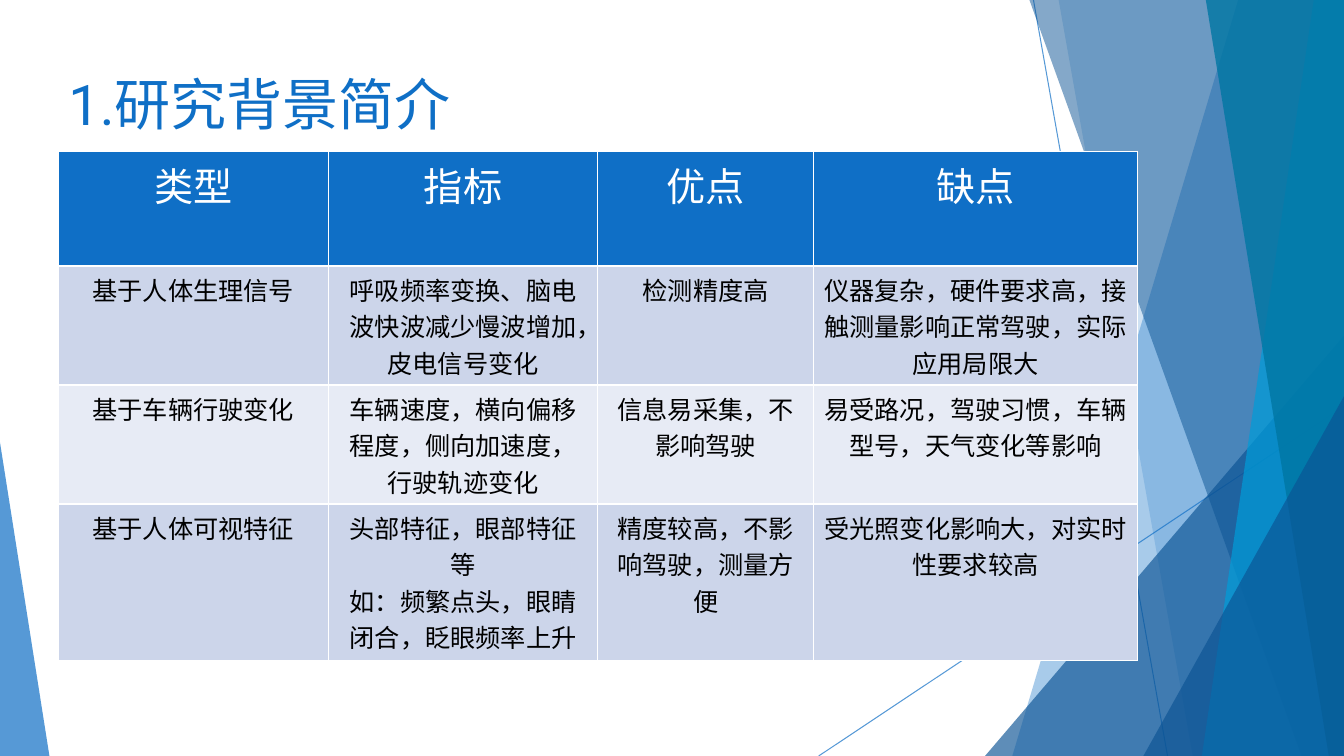
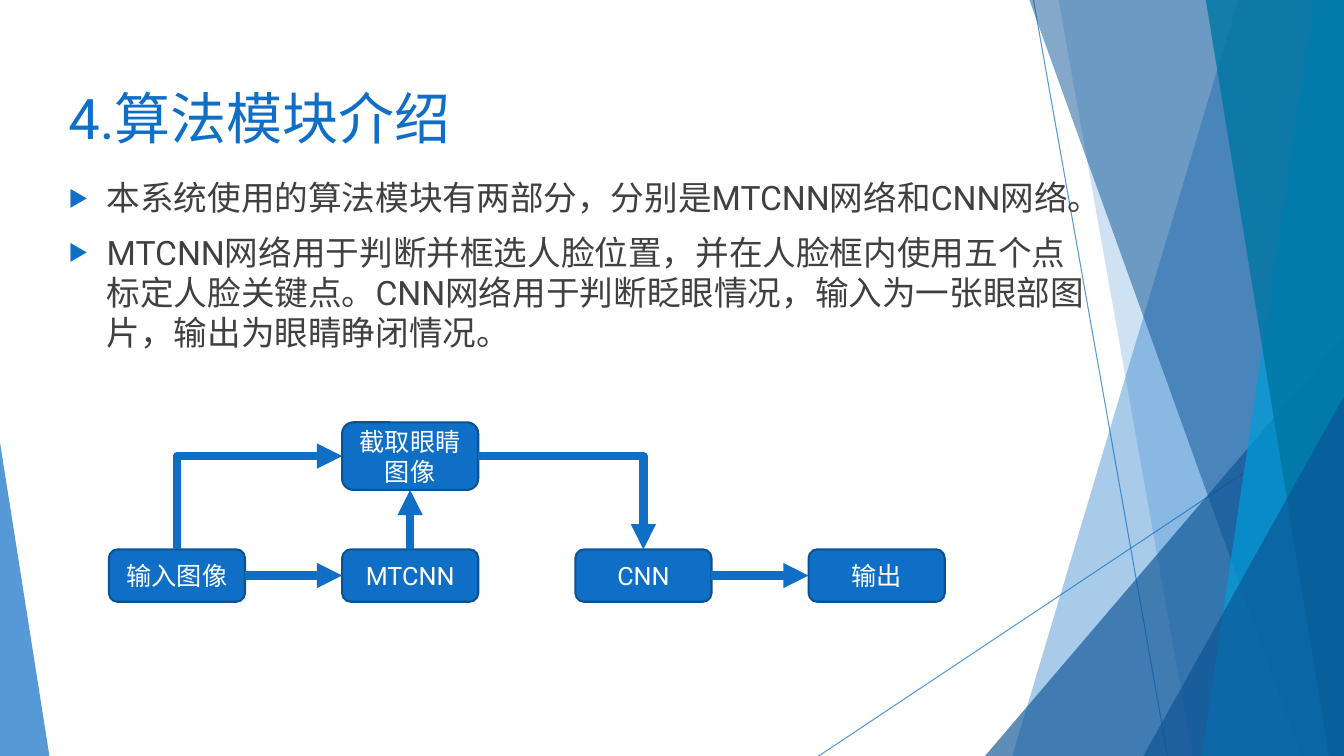
from lxml import etree
from pptx import Presentation
from pptx.dml.color import RGBColor
from pptx.enum.shapes import MSO_CONNECTOR, MSO_SHAPE
from pptx.enum.text import MSO_ANCHOR, PP_ALIGN
from pptx.oxml.ns import qn
from pptx.util import Inches, Pt

STRAIGHT, ELBOW = MSO_CONNECTOR.STRAIGHT, MSO_CONNECTOR.ELBOW
TRIANGLE, ROUNDED = MSO_SHAPE.ISOSCELES_TRIANGLE, MSO_SHAPE.ROUNDED_RECTANGLE
TOP, MIDDLE = MSO_ANCHOR.TOP, MSO_ANCHOR.MIDDLE
LEFT, CENTER = PP_ALIGN.LEFT, PP_ALIGN.CENTER
SITE_TOP, SITE_LEFT, SITE_BOTTOM, SITE_RIGHT = range(4)

W, H = 13.33, 7.5
MARGIN = 0.58
LATIN, CJK = "Roboto", "Noto Sans CJK SC"
C = {
    "blue": "0F6FC6", "navy": "0B5394", "cyan": "009DD9", "teal": "0076A3",
    "edge": "0B5292", "white": "FFFFFF", "black": "000000", "body": "404040",
    "band": "CCD5EA", "pale": "E7EBF5",
}


def rgb(name):
    return RGBColor.from_string(C[name])


def sub(parent, tag, **attrs):
    return etree.SubElement(parent, qn(tag), attrs)


def set_alpha(fill_parent, percent):
    color = next(fill_parent.iter(qn("a:srgbClr")))
    sub(color, "a:alpha", val=str(percent * 1000))


def add_run(p, text, size, color, font=LATIN):
    r = p.add_run()
    r.text = text
    r.font.size = Pt(size)
    r.font.name = font
    r.font.color.rgb = rgb(color)
    sub(r._r.get_or_add_rPr(), "a:ea", typeface=font)


def write(tf, paragraphs, size, color, font=LATIN, align=LEFT):
    tf.word_wrap = True
    for i, text in enumerate(paragraphs):
        p = tf.paragraphs[0] if i == 0 else tf.add_paragraph()
        p.alignment = align
        add_run(p, text, size, color, font)


def paint(sp, color, alpha=100):
    sp.shadow.inherit = False
    sp.fill.solid()
    sp.fill.fore_color.rgb = rgb(color)
    sp.line.fill.background()
    set_alpha(sp._element.spPr.find(qn("a:solidFill")), alpha)


def add_line(s, kind, start, end, width):
    c = s.shapes.add_connector(kind, *(Inches(v) for v in (*start, *end)))
    c.line.color.rgb = rgb("blue")
    c.line.width = Pt(width)
    sub(c._element.spPr, "a:effectLst")
    return c


def add_ray(s, start, end):
    c = add_line(s, STRAIGHT, start, end, 0.75)
    set_alpha(c.line._ln, 70)


def add_band(s, top_x, bottom_x, color, alpha):
    points = [(W, 0), (W, H), (bottom_x, H)]
    fb = s.shapes.build_freeform(Inches(top_x), 0)
    fb.add_line_segments([(Inches(x), Inches(y)) for x, y in points], close=True)
    paint(fb.convert_to_shape(), color, alpha)


def add_corner(s, left, top, right, color, alpha, apex):
    sp = s.shapes.add_shape(TRIANGLE, Inches(left), Inches(top),
                            Inches(right - left), Inches(H - top))
    sp.adjustments[0] = apex
    paint(sp, color, alpha)


def add_backdrop(s):
    add_ray(s, (10.25, 0), (11.58, H))
    add_ray(s, (W, 4.03), (8.12, H))
    add_band(s, 12.28, 10.04, "blue", 36)
    add_band(s, 10.5, 11.83, "blue", 20)
    add_corner(s, 9.77, 3.33, W, "navy", 66, 1)
    add_band(s, 10.21, 12.91, "navy", 50)
    add_band(s, 13.03, 11.92, "cyan", 70)
    add_band(s, 11.96, 13.18, "teal", 80)
    add_corner(s, 11.34, 3.93, W, "navy", 66, 1)
    add_corner(s, 0, 4.39, 0.49, "blue", 70, 0)


def add_text(s, box, paragraphs, size, color, anchor=TOP):
    tf = s.shapes.add_textbox(*(Inches(v) for v in box)).text_frame
    write(tf, paragraphs, size, color)
    tf.vertical_anchor = anchor
    return tf


def new_slide(prs, title, box):
    s = prs.slides.add_slide(prs.slide_layouts[6])
    add_backdrop(s)
    add_text(s, box, [title], 40, "blue", MIDDLE)
    return s


def add_borders(cell):
    tcPr = cell._tc.get_or_add_tcPr()
    for i, side in enumerate(("lnL", "lnR", "lnT", "lnB")):
        ln = etree.Element(qn("a:" + side), w=str(Pt(1)))
        sub(sub(ln, "a:solidFill"), "a:srgbClr", val=C["white"])
        tcPr.insert(i, ln)


def add_comparison(s, box, shares, heights, rows):
    left, top, width = box
    table = s.shapes.add_table(len(rows), len(shares), Inches(left), Inches(top),
                               Inches(width), Inches(sum(heights))).table
    for column, share in zip(table.columns, shares):
        column.width = Inches(width * share)
    for i, row in enumerate(rows):
        table.rows[i].height = Inches(heights[i])
        header = i == 0
        fill = "blue" if header else ("pale", "band")[i % 2]
        style = (28, "white", LATIN) if header else (18, "black", CJK)
        for j, text in enumerate(row):
            cell = table.cell(i, j)
            cell.fill.solid()
            cell.fill.fore_color.rgb = rgb(fill)
            cell.margin_top = Inches(0.14 if header else 0.05)
            write(cell.text_frame, text.split("\n"), *style, align=CENTER)
            add_borders(cell)


def add_bullets(s, box, paragraphs):
    tf = add_text(s, box, paragraphs, 24, "body")
    for p in tf.paragraphs:
        p.space_before = Pt(10)
        pPr = p._p.get_or_add_pPr()
        pPr.set("marL", str(Inches(0.38)))
        pPr.set("indent", str(-Inches(0.38)))
        sub(sub(pPr, "a:buClr"), "a:srgbClr", val=C["blue"])
        sub(pPr, "a:buSzPct", val="60000")
        sub(pPr, "a:buFont", typeface=CJK)
        sub(pPr, "a:buChar", char="▶")


def add_node(s, text, left, top, width, height):
    sp = s.shapes.add_shape(ROUNDED, *(Inches(v) for v in (left, top, width, height)))
    paint(sp, "blue")
    sp.line.color.rgb = rgb("edge")
    sp.line.width = Pt(1.5)
    sp.text_frame.vertical_anchor = MIDDLE
    write(sp.text_frame, [text], 18, "white", align=CENTER)
    return sp


def add_arrow(s, source, source_site, target, target_site, kind=STRAIGHT):
    c = add_line(s, kind, (0, 0), (1, 1), 6)
    c.begin_connect(source, source_site)
    c.end_connect(target, target_site)
    sub(c.line._ln, "a:tailEnd", type="triangle")
    if kind == ELBOW:
        c._element.spPr.find(qn("a:prstGeom")).set("prst", "bentConnector2")
        if source_site == SITE_TOP:
            turn_upward(c)


def turn_upward(c):
    width, height = c.width, c.height
    c.left += (width - height) // 2
    c.top += (height - width) // 2
    c.width, c.height = height, width
    xfrm = c._element.spPr.find(qn("a:xfrm"))
    for name, value in (("rot", "5400000"), ("flipH", "1"), ("flipV", "1")):
        xfrm.set(name, value)


def add_flow(s, left, top, width):
    node_w, node_h, crop_h, drop = 1.35, 0.52, 0.67, 1.26
    step = (width - node_w) / 3
    names = ["输入图像", "MTCNN", "CNN", "输出"]
    source, mtcnn, cnn, result = [
        add_node(s, name, left + i * step, top + drop, node_w, node_h)
        for i, name in enumerate(names)]
    crop = add_node(s, "截取眼睛图像", left + step, top, node_w, crop_h)
    add_arrow(s, source, SITE_RIGHT, mtcnn, SITE_LEFT)
    add_arrow(s, cnn, SITE_RIGHT, result, SITE_LEFT)
    add_arrow(s, crop, SITE_RIGHT, cnn, SITE_TOP, ELBOW)
    add_arrow(s, source, SITE_TOP, crop, SITE_LEFT, ELBOW)
    add_arrow(s, mtcnn, SITE_TOP, crop, SITE_BOTTOM)


def background_slide(prs):
    s = new_slide(prs, "1.研究背景简介", (MARGIN, 0.6, 10.7, 0.84))
    shares, heights = (0.25, 0.25, 0.2, 0.3), (1.14, 1.18, 1.18, 1.55)
    add_comparison(s, (MARGIN, 1.5, 10.7), shares, heights, [
        ("类型", "指标", "优点", "缺点"),
        ("基于人体生理信号", "呼吸频率变换、脑电波快波减少慢波增加，皮电信号变化",
         "检测精度高", "仪器复杂，硬件要求高，接触测量影响正常驾驶，实际应用局限大"),
        ("基于车辆行驶变化", "车辆速度，横向偏移程度，侧向加速度，行驶轨迹变化",
         "信息易采集，不影响驾驶", "易受路况，驾驶习惯，车辆型号，天气变化等影响"),
        ("基于人体可视特征", "头部特征，眼部特征等\n如：频繁点头，眼睛闭合，眨眼频率上升",
         "精度较高，不影响驾驶，测量方便", "受光照变化影响大，对实时性要求较高"),
    ])


def modules_slide(prs):
    s = new_slide(prs, "4.算法模块介绍", (MARGIN, 0.76, 9.4, 0.81))
    add_bullets(s, (MARGIN, 1.71, 10.29, 1.96), [
        "本系统使用的算法模块有两部分，分别是MTCNN网络和CNN网络。",
        "MTCNN网络用于判断并框选人脸位置，并在人脸框内使用五个点标定人脸关键点。"
        "CNN网络用于判断眨眼情况，输入为一张眼部图片，输出为眼睛睁闭情况。",
    ])
    add_flow(s, 1.08, 4.19, 8.29)


prs = Presentation()
prs.slide_width, prs.slide_height = Inches(W), Inches(H)
background_slide(prs)
modules_slide(prs)
prs.save("out.pptx")
